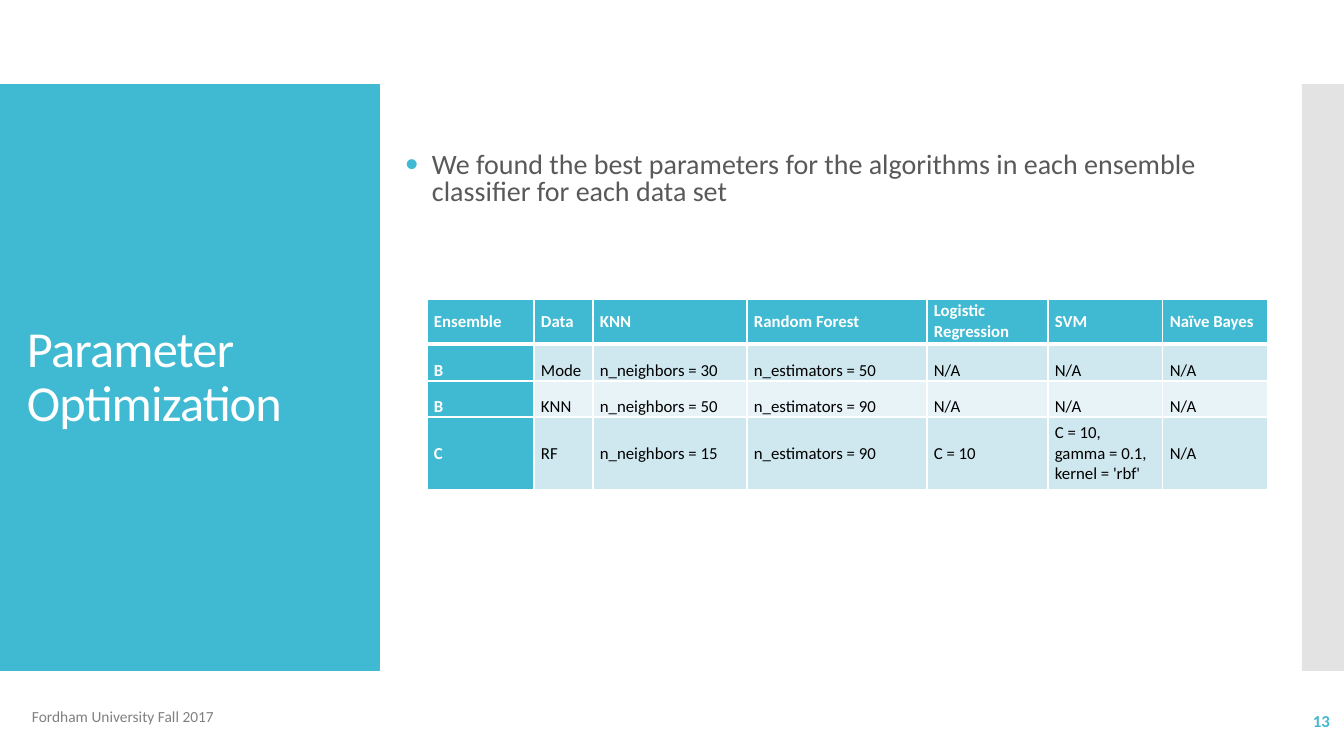
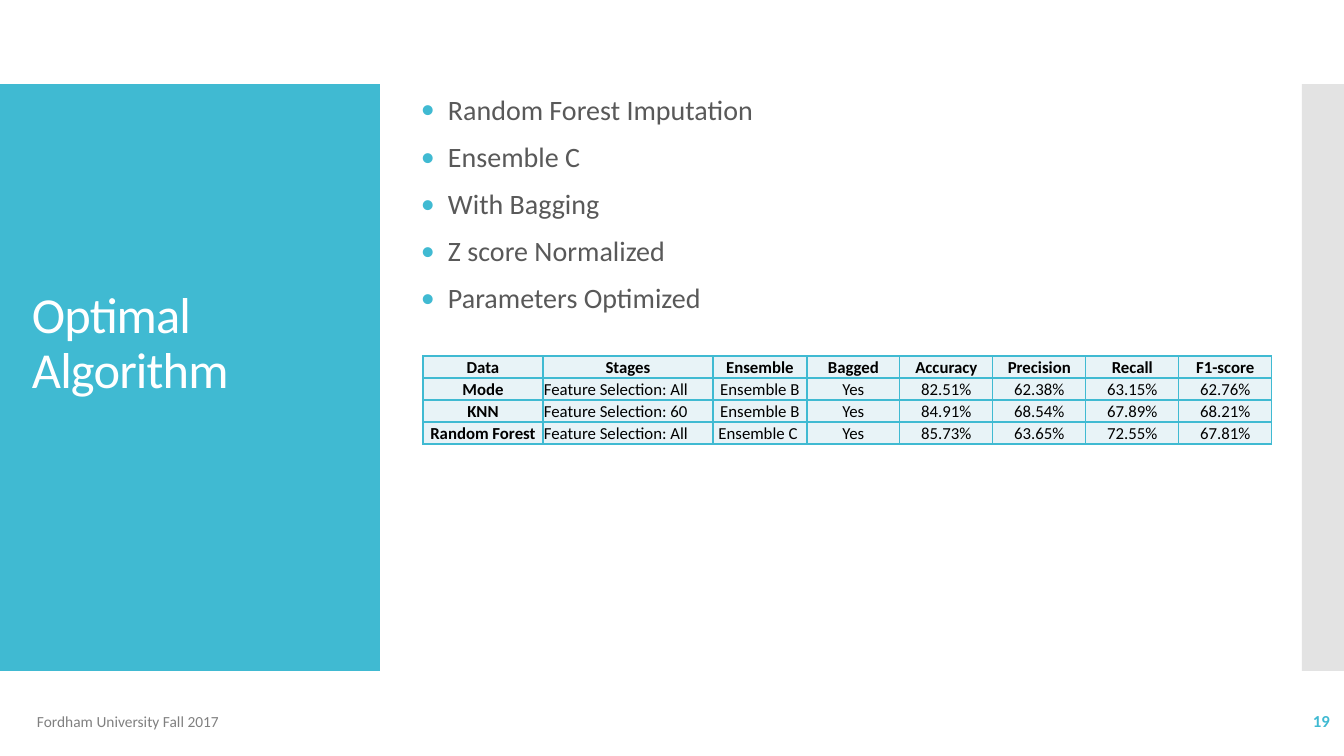
from dataclasses import dataclass
from typing import NamedTuple

from lxml.etree import SubElement
from pptx import Presentation
from pptx.dml.color import RGBColor
from pptx.enum.shapes import MSO_SHAPE
from pptx.enum.text import MSO_ANCHOR as Anchor, MSO_AUTO_SIZE as AutoSize, PP_ALIGN as Align
from pptx.oxml.ns import qn
from pptx.util import Pt

EMU_PER_PX = 914400 / 100.8
TITLE_ONLY = 5


@dataclass(frozen=True)
class Theme:
    font: str = "Calibri"
    accent: str = "40BAD2"
    side: str = "C8C8C8"
    body: str = "595959"
    footer: str = "808080"
    white: str = "FFFFFF"
    black: str = "000000"
    tint: str = "CFE7EE"
    pale: str = "E8F3F7"
    title_size: int = 36
    body_size: int = 20
    cell_size: int = 12
    number_size: int = 12
    footer_size: int = 11


THEME = Theme()


class Box(NamedTuple):
    left: int
    top: int
    width: int
    height: int


def px(length):
    return round(length * EMU_PER_PX)


def emu(box):
    return [px(length) for length in box]


def write(frame, text, *, size, color, bold=False, align=Align.LEFT,
          line=1.0, after=0, tracking=0, bullet_indent=0):
    """Fill a text frame with one paragraph, or one per item of a list."""
    entries = [text] if isinstance(text, str) else text
    for index, entry in enumerate(entries):
        paragraph = frame.paragraphs[0] if index == 0 else frame.add_paragraph()
        paragraph.text = entry
        paragraph.alignment = align
        paragraph.line_spacing = line
        paragraph.space_before = Pt(0)
        paragraph.space_after = Pt(after)
        if bullet_indent:
            add_bullet(paragraph, bullet_indent)
        for run in paragraph.runs:
            run.font.name = THEME.font
            run.font.size = Pt(size)
            run.font.bold = bold
            run.font.color.rgb = RGBColor.from_string(color)
            if tracking:
                run._r.get_or_add_rPr().set("spc", str(round(tracking * 100)))


def add_bullet(paragraph, indent):
    properties = paragraph._p.get_or_add_pPr()
    properties.set("marL", str(px(indent)))
    properties.set("indent", str(-px(indent)))
    color = SubElement(properties, qn("a:buClr"))
    SubElement(color, qn("a:srgbClr"), val=THEME.accent)
    SubElement(properties, qn("a:buFont"), typeface=THEME.font)
    SubElement(properties, qn("a:buChar"), char="•")


def set_frame(frame, anchor, side=10, edge=5):
    frame.word_wrap = True
    frame.auto_size = AutoSize.NONE
    frame.vertical_anchor = anchor
    frame.margin_left = frame.margin_right = px(side)
    frame.margin_top = frame.margin_bottom = px(edge)


def add_text(slide, box, text, *, anchor=Anchor.MIDDLE, side=10, edge=5, **fmt):
    frame = slide.shapes.add_textbox(*emu(box)).text_frame
    set_frame(frame, anchor, side, edge)
    write(frame, text, **fmt)


def add_band(slide, box, color, opacity=100):
    band = slide.shapes.add_shape(MSO_SHAPE.RECTANGLE, *emu(box))
    band.shadow.inherit = False
    band.line.fill.background()
    band.fill.solid()
    band.fill.fore_color.rgb = RGBColor.from_string(color)
    if opacity < 100:
        shade = band.element.spPr.find(".//" + qn("a:srgbClr"))
        SubElement(shade, qn("a:alpha"), val=str(opacity * 1000))


# Shared slide frame: bands, title, footer and page number
def add_base(deck, title_text, title_box, footer_left, footer_top, number):
    slide = deck.slides.add_slide(deck.slide_layouts[TITLE_ONLY])
    add_band(slide, Box(0, 84, 380, 587), THEME.accent)
    add_band(slide, Box(1302, 84, 42, 587), THEME.side, opacity=50)

    title = slide.shapes.title
    title.element.getparent().append(title.element)  # above the bands
    title.left, title.top, title.width, title.height = emu(title_box)
    set_frame(title.text_frame, Anchor.MIDDLE, side=5, edge=10)
    write(title.text_frame, title_text, size=THEME.title_size,
          color=THEME.white, line=0.9, tracking=-0.6)

    add_text(slide, Box(footer_left, footer_top, 651, 40), "Fordham University Fall 2017",
             size=THEME.footer_size, color=THEME.footer)
    add_text(slide, Box(1172, 701, 168, 40), str(number), size=THEME.number_size,
             color=THEME.accent, bold=True, align=Align.RIGHT)
    return slide


def add_bullets(slide, box, points, line):
    add_text(slide, box, points, anchor=Anchor.TOP, side=0, edge=10, size=THEME.body_size,
             color=THEME.body, line=line, after=12, bullet_indent=27)


# Tables
def set_borders(cell, color, bottom_width=1):
    properties = cell._tc.get_or_add_tcPr()
    widths = {"a:lnL": 1, "a:lnR": 1, "a:lnT": 1, "a:lnB": bottom_width}
    for position, (side, width) in enumerate(widths.items()):
        border = properties.makeelement(qn(side), {"w": str(Pt(width))})
        SubElement(SubElement(border, qn("a:solidFill")), qn("a:srgbClr"), val=color)
        properties.insert(position, border)  # borders precede the fill


@dataclass
class CellLook:
    fill: str
    border: str
    color: str = THEME.black
    bold: bool = False
    align: Align = Align.LEFT
    anchor: Anchor = Anchor.MIDDLE
    bottom_width: int = 1


def add_grid(slide, left, top, widths, heights, rows, look_at, side, edge=0):
    box = Box(left, top, sum(widths), sum(heights))
    table = slide.shapes.add_table(len(rows), len(widths), *emu(box)).table
    table.first_row = table.horz_banding = False
    for column, width in zip(table.columns, widths):
        column.width = px(width)
    for r, (values, height) in enumerate(zip(rows, heights)):
        table.rows[r].height = px(height)
        for c, value in enumerate(values):
            cell, look = table.cell(r, c), look_at(r, c)
            cell.margin_left = cell.margin_right = px(side)
            cell.margin_top, cell.margin_bottom = px(edge), 0
            cell.vertical_anchor = look.anchor
            cell.fill.solid()
            cell.fill.fore_color.rgb = RGBColor.from_string(look.fill)
            set_borders(cell, look.border, look.bottom_width)
            write(cell.text_frame, value, size=THEME.cell_size, color=look.color,
                  bold=look.bold, align=look.align)


def parameter_look(row, column):
    anchor = Anchor.BOTTOM if row in (1, 2) else Anchor.MIDDLE
    if row == 0 or column == 0:
        return CellLook(THEME.accent, THEME.white, THEME.white, bold=True,
                        anchor=anchor, bottom_width=3 if row == 0 else 1)
    return CellLook(THEME.tint if row % 2 else THEME.pale, THEME.white, anchor=anchor)


def score_look(row, column):
    is_stage = row > 0 and column == 1
    return CellLook(THEME.pale, THEME.accent, bold=row == 0 or column == 0,
                    align=Align.LEFT if is_stage else Align.CENTER,
                    anchor=Anchor.BOTTOM if row == 0 or is_stage else Anchor.MIDDLE)


PARAMETERS = [
    ["Ensemble", "Data", "KNN", "Random Forest", "Logistic Regression", "SVM", "Naïve Bayes"],
    ["B", "Mode", "n_neighbors = 30", "n_estimators = 50", "N/A", "N/A", "N/A"],
    ["B", "KNN", "n_neighbors = 50", "n_estimators = 90", "N/A", "N/A", "N/A"],
    ["C", "RF", "n_neighbors = 15", "n_estimators = 90", "C = 10",
     ["C = 10,", "gamma = 0.1,", "kernel = 'rbf'"], "N/A"],
]

SCORES = [
    ["Data", "Stages", "Ensemble", "Bagged", "Accuracy", "Precision", "Recall", "F1-score"],
    ["Mode", "Feature Selection: All", "Ensemble B", "Yes",
     "82.51%", "62.38%", "63.15%", "62.76%"],
    ["KNN", "Feature Selection: 60", "Ensemble B", "Yes",
     "84.91%", "68.54%", "67.89%", "68.21%"],
    ["Random Forest", "Feature Selection: All", "Ensemble C ", "Yes",
     "85.73%", "63.65%", "72.55%", "67.81%"],
]


# Slides
def build_parameters(deck):
    slide = add_base(deck, "Parameter Optimization", Box(22, 234, 300, 288),
                     footer_left=22, footer_top=696, number=13)
    add_bullets(slide, Box(405, 143, 880, 75),
                ["We found the best parameters for the algorithms in each ensemble "
                 "classifier for each data set"], line=0.8)
    add_grid(slide, 427, 299, [107, 59, 154, 180, 121, 115, 105], [45, 37, 36, 73],
             PARAMETERS, parameter_look, side=7)


def build_optimal(deck):
    slide = add_base(deck, "Optimal Algorithm", Box(27, 224, 338, 241),
                     footer_left=27, footer_top=701, number=19)
    add_bullets(slide, Box(421, 86, 809, 246),
                ["Random Forest Imputation", "Ensemble C", "With Bagging",
                 "Z score Normalized", "Parameters Optimized"], line=0.9)
    add_grid(slide, 423, 356, [120, 170, 94] + [93] * 5, [22] * 4,
             SCORES, score_look, side=1, edge=1)


def main():
    deck = Presentation()
    deck.slide_width, deck.slide_height = px(1344), px(756)
    build_parameters(deck)
    build_optimal(deck)
    deck.save("out.pptx")


if __name__ == "__main__":
    main()
